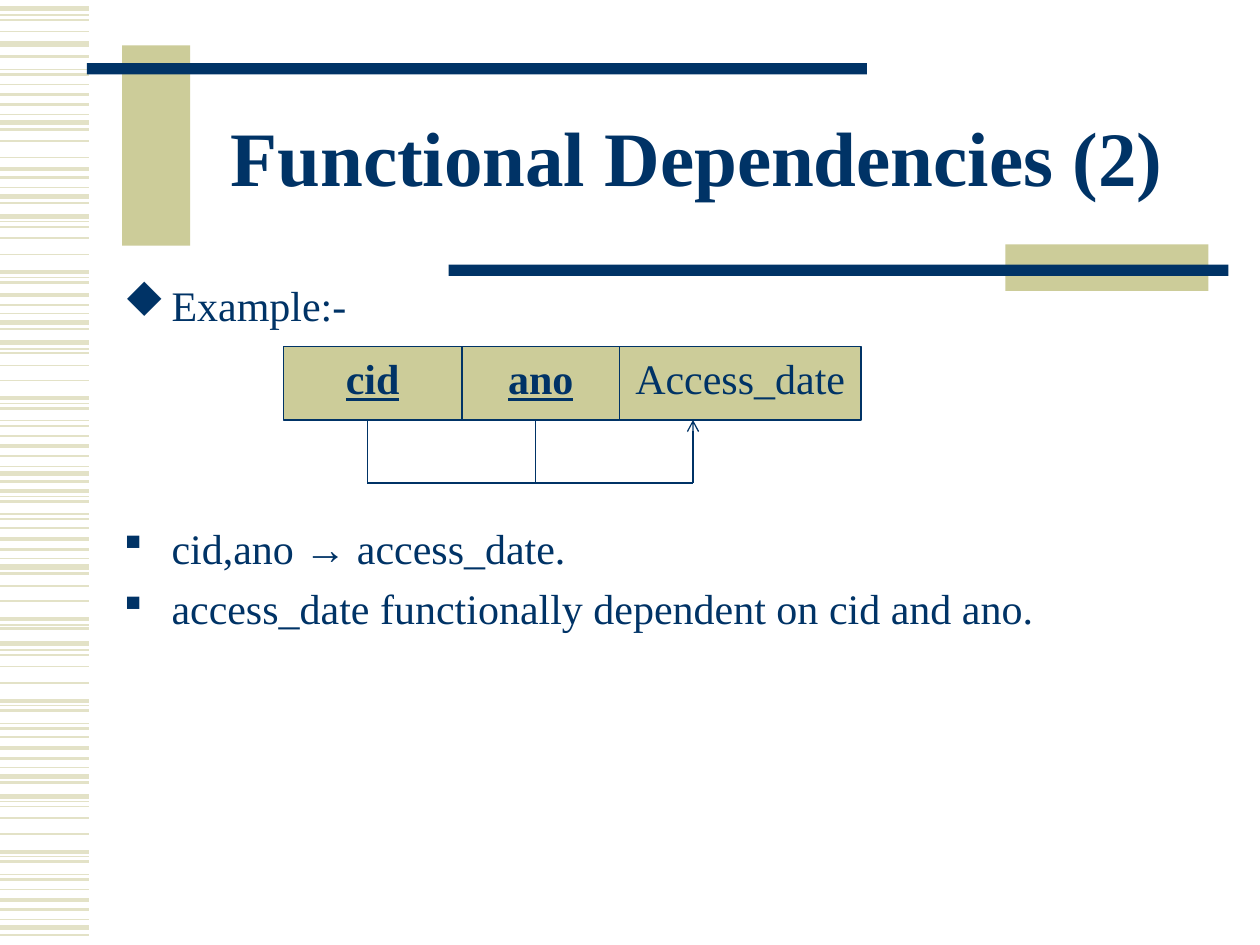
"""Build the Functional Dependencies slide with its striped margin and attribute diagram."""
import pptx
import pptx.dml.color
import pptx.enum.shapes
import pptx.enum.text
import pptx.oxml
import pptx.util

NAVY = pptx.dml.color.RGBColor(0x00, 0x33, 0x66)
KHAKI = pptx.dml.color.RGBColor(0xCC, 0xCC, 0x99)
PALE = pptx.dml.color.RGBColor(0xE3, 0xE2, 0xC7)
SERIF, SANS, SYMBOLS = "Times New Roman", "Arial", "Wingdings"
DIAMOND, SQUARE = "u", "§"
RECTANGLE = pptx.enum.shapes.MSO_SHAPE.RECTANGLE
STRAIGHT = pptx.enum.shapes.MSO_CONNECTOR.STRAIGHT
CENTER = pptx.enum.text.PP_ALIGN.CENTER
TOP = pptx.enum.text.MSO_ANCHOR.TOP
MIDDLE = pptx.enum.text.MSO_ANCHOR.MIDDLE

WIDTH, HEIGHT = pptx.util.Inches(10), pptx.util.Inches(7.5)
COLUMNS, ROWS, STRIPE_ROWS = 120, 90, 750

TITLE = "Functional Dependencies (2)"
TITLE_AREA = (18, 8, 96.8, 15)
BODY_AREA = (10.6, 26, 104.4, 54)
BULLETS = [
    (DIAMOND, 0, [("Example:-", SERIF)]),
    (SQUARE, 110, [("cid,ano ", SERIF), ("→", SANS), (" access_date.", SERIF)]),
    (SQUARE, 6, [("access_date functionally dependent on cid and ano.", SERIF)]),
]
ATTRIBUTES = [("cid", 17, True), ("ano", 15, True), ("Access_date", 23, False)]
BOX_LEFT, BOX_TOP, BOX_HEIGHT = 27, 33, 7
BOX_BOTTOM, BUS_ROW = 40, 46
SOURCES, TARGET = (35, 51), 66

DECORATION = [
    (KHAKI, (11.64, 4.32, 6.48, 19.08)),
    (NAVY, (8.28, 6, 74.28, 1.08)),
    (KHAKI, (95.76, 23.28, 19.32, 4.44)),
    (NAVY, (42.72, 25.2, 74.28, 1.08)),
]
STRIPE_LENGTH = 8.5
STRIPES = {
    3: [7, 35, 97, 156, 172, 256, 272, 376, 450, 511, 616, 632, 736],
    2.25: [75, 134, 216, 234, 316, 354, 390, 428, 491, 556, 594, 676, 714],
    1.5: [45, 59, 83, 103, 141, 161, 224, 242, 261, 324, 338, 362, 382, 398,
          412, 436, 455, 499, 564, 578, 602, 621, 684, 698, 722, 742],
    1: [16, 25, 67, 112, 125, 180, 189, 202, 280, 290, 302, 346, 419, 465,
        477, 520, 529, 542, 585, 640, 649, 662, 706],
    0.75: [12, 55, 91, 149, 176, 220, 249, 277, 320, 334, 370, 394, 408, 443,
           496, 516, 560, 574, 609, 636, 680, 694, 730],
}


def place(column, row):
    """Turn a grid position or extent into slide lengths."""
    return round(WIDTH * column / COLUMNS), round(HEIGHT * row / ROWS)


def bounds(area):
    """Return left, top, width and height of a grid area."""
    return place(*area[:2]) + place(*area[2:])


def apply(target, values):
    """Set each named attribute on the target."""
    for name, value in values.items():
        setattr(target, name, value)


def add_xml(parent, tag, **attributes):
    """Append a drawing element to the parent."""
    element = parent.makeelement(pptx.oxml.ns.qn(tag), attributes)
    parent.append(element)
    return element


def add_run(paragraph, text, size, name=SERIF, **values):
    """Add a navy run to the paragraph."""
    run = paragraph.add_run()
    run.text = text
    apply(run.font, {"size": pptx.util.Pt(size), "name": name, **values})
    run.font.color.rgb = NAVY


def add_rectangle(slide, area, color):
    """Add a plain filled rectangle."""
    shape = slide.shapes.add_shape(RECTANGLE, *bounds(area))
    shape.shadow.inherit = False
    shape.fill.solid()
    shape.fill.fore_color.rgb = color
    shape.line.fill.background()
    return shape


def add_line(slide, start, end, color=NAVY, weight=0.75, arrow=False):
    """Add a straight line between two grid points."""
    line = slide.shapes.add_connector(STRAIGHT, *place(*start), *place(*end))
    line.line.color.rgb = color
    line.line.width = pptx.util.Pt(weight)
    if arrow:
        add_xml(line.line._get_or_add_ln(), "a:tailEnd", type="arrow")
    add_xml(line._element.spPr, "a:effectLst")


def add_background(slide):
    """Draw the striped margin and the title bars."""
    for weight, rows in STRIPES.items():
        for stripe in rows:
            row = stripe * ROWS / STRIPE_ROWS
            add_line(slide, (0, row), (STRIPE_LENGTH, row), PALE, weight)
    for color, area in DECORATION:
        add_rectangle(slide, area, color)


def add_title(slide):
    """Place and format the title."""
    title = slide.shapes.title
    apply(title, dict(zip(("left", "top", "width", "height"), bounds(TITLE_AREA))))
    apply(title.text_frame, {"vertical_anchor": MIDDLE, "word_wrap": True})
    paragraph = title.text_frame.paragraphs[0]
    apply(paragraph, {"alignment": CENTER, "line_spacing": 0.85})
    add_run(paragraph, TITLE, 44, bold=True)


def add_body(slide):
    """Add the bulleted text, leaving room for the diagram."""
    frame = slide.shapes.add_textbox(*bounds(BODY_AREA)).text_frame
    apply(frame, {"word_wrap": True, "vertical_anchor": TOP})
    indent = pptx.util.Inches(0.38)
    for index, (bullet, space, runs) in enumerate(BULLETS):
        paragraph = frame.add_paragraph() if index else frame.paragraphs[0]
        properties = paragraph._p.get_or_add_pPr()
        properties.set("marL", str(indent))
        properties.set("indent", str(-indent))
        add_xml(add_xml(properties, "a:buClr"), "a:srgbClr", val=str(NAVY))
        add_xml(properties, "a:buFont", typeface=SYMBOLS, pitchFamily="2", charset="2")
        add_xml(properties, "a:buChar", char=bullet)
        paragraph.space_before = pptx.util.Pt(space)
        for text, name in runs:
            add_run(paragraph, text, 24, name)


def add_diagram(slide):
    """Draw the attribute boxes and the dependency arrow."""
    left = BOX_LEFT
    for text, width, key in ATTRIBUTES:
        box = add_rectangle(slide, (left, BOX_TOP, width, BOX_HEIGHT), KHAKI)
        box.line.color.rgb = NAVY
        box.line.width = pptx.util.Pt(0.75)
        apply(box.text_frame, {"word_wrap": False, "vertical_anchor": TOP})
        paragraph = box.text_frame.paragraphs[0]
        paragraph.alignment = CENTER
        add_run(paragraph, text, 24, bold=key, underline=key)
        left += width
    for column in SOURCES:
        add_line(slide, (column, BOX_BOTTOM), (column, BUS_ROW))
    add_line(slide, (SOURCES[0], BUS_ROW), (TARGET, BUS_ROW))
    add_line(slide, (TARGET, BUS_ROW), (TARGET, BOX_BOTTOM), arrow=True)


def main():
    """Build and save the presentation."""
    presentation = pptx.Presentation()
    apply(presentation, {"slide_width": WIDTH, "slide_height": HEIGHT})
    slide = presentation.slides.add_slide(presentation.slide_layouts[5])
    add_background(slide)
    add_title(slide)
    add_body(slide)
    add_diagram(slide)
    presentation.save("out.pptx")


if __name__ == "__main__":
    main()
